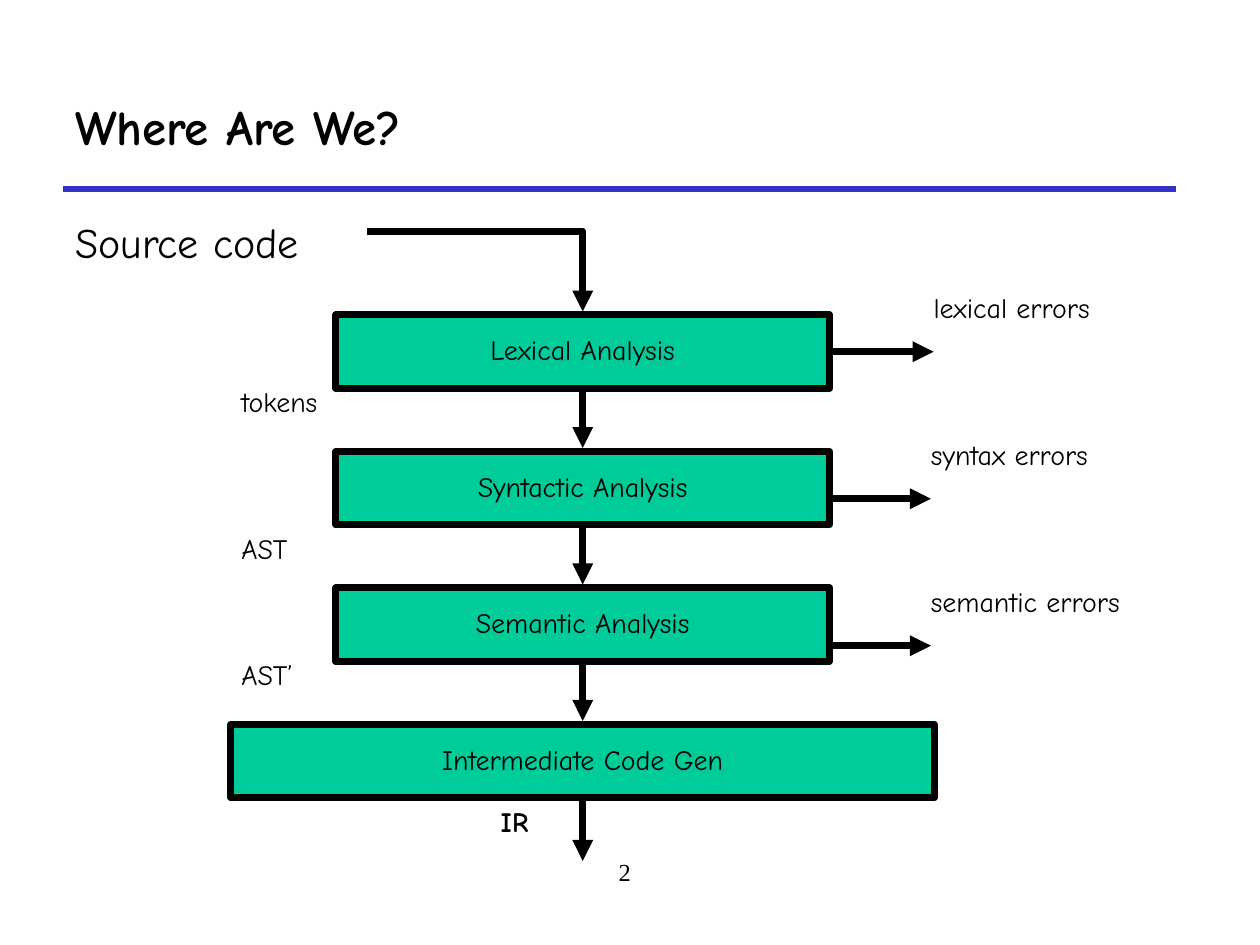
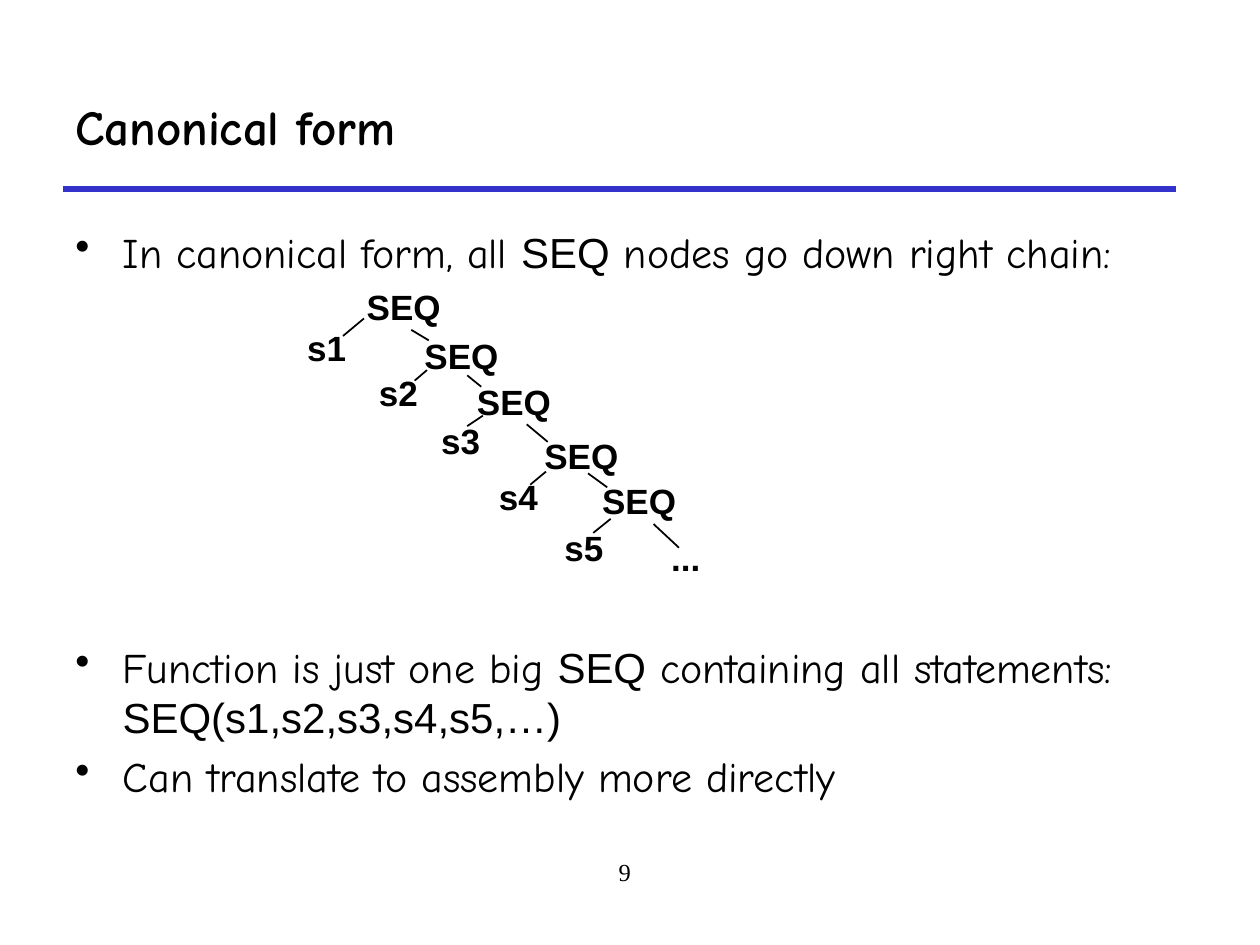
from dataclasses import dataclass
from itertools import pairwise

from lxml.etree import SubElement
from pptx import Presentation
from pptx.dml.color import RGBColor as Color
from pptx.enum.shapes import MSO_CONNECTOR as Link, MSO_SHAPE as Shape
from pptx.enum.text import MSO_ANCHOR as Anchor, PP_ALIGN as Align
from pptx.oxml.ns import qn
from pptx.util import Pt


@dataclass(frozen=True)
class Theme:
    ink: Color = Color(0, 0, 0)
    rule: Color = Color(0x33, 0x33, 0xCC)
    stage: Color = Color(0, 0xCC, 0x99)
    hand: str = "Comic Neue"
    code: str = "Arial"
    number: str = "Times New Roman"
    title_size: int = 28
    body_size: int = 24
    node_size: int = 20
    label_size: int = 16
    number_size: int = 14


theme = Theme()
TITLE = dict(name=theme.hand, size=Pt(theme.title_size), bold=True)
BODY = dict(name=theme.hand, size=Pt(theme.body_size))
LABEL = dict(name=theme.hand, size=Pt(theme.label_size))
NODE = dict(name=theme.code, size=Pt(theme.node_size), bold=True)
NUMBER = dict(name=theme.number, size=Pt(theme.number_size))
MIDDLE = dict(vertical_anchor=Anchor.MIDDLE)
UNWRAPPED = dict(vertical_anchor=Anchor.MIDDLE, word_wrap=False)
FLUSH = dict(margin_left=0, margin_top=0, margin_right=0, margin_bottom=0)
TIGHT = dict(line_spacing=0.9)
CENTRED = dict(alignment=Align.CENTER)


def write(page, place, text, font, frame={}, layout={}, box=None):
    box = box or page.shapes.add_textbox(*map(Pt, place))
    para = box.text_frame.paragraphs[0]
    span = para.add_run()
    span.text = text
    span.font.color.rgb = theme.ink
    for target, formats in (
        (box.text_frame, {"word_wrap": True} | frame),
        (para, layout),
        (span.font, font),
    ):
        for name, value in formats.items():
            setattr(target, name, value)
    return box


def connect(page, start, end, width, color=theme.ink, arrow=False, kind=Link.STRAIGHT):
    line = page.shapes.add_connector(kind, *map(Pt, (*start, *end)))
    line.line.color.rgb = color
    line.line.width = Pt(width)
    if arrow:
        SubElement(line.line._get_or_add_ln(), qn("a:tailEnd"), type="triangle")
    SubElement(line._element.spPr, qn("a:effectLst"))
    return line


deck = Presentation()
deck.slide_width, deck.slide_height = Pt(720), Pt(540)
pages = []
for title, number in (("Where Are We?", "2"), ("Canonical form", "9")):
    page = deck.slides.add_slide(deck.slide_layouts[6])
    connect(page, (36, 108), (672, 108), 3, theme.rule)
    write(page, (222, 486, 270, 36), number, NUMBER, layout=CENTRED)
    write(page, (36, 36, 636, 72), title, TITLE, MIDDLE)
    pages.append(page)
phases, canonical = pages

write(phases, (36, 120, 168, 30), "Source code", BODY)

axis, stage_height, border = 333, 42, 4
stages = (
    ("Lexical Analysis", 282),
    ("Syntactic Analysis", 282),
    ("Semantic Analysis", 282),
    ("Intermediate Code Gen", 402),
)
stage_tops = [180 + 78 * row for row in range(len(stages))]
for (name, width), top in zip(stages, stage_tops):
    place = (axis - width / 2, top, width, stage_height)
    stage = phases.shapes.add_shape(Shape.RECTANGLE, *map(Pt, place))
    stage.shadow.inherit = False
    stage.fill.solid()
    stage.fill.fore_color.rgb = theme.stage
    stage.line.color.rgb = theme.ink
    stage.line.width = Pt(border)
    write(phases, place, name, LABEL, UNWRAPPED, TIGHT | CENTRED, stage)

for upper, lower in pairwise(stage_tops):
    connect(phases, (axis, upper + stage_height + 2), (axis, lower - 2), border, arrow=True)
connect(phases, (axis, 456), (axis, 492), border, arrow=True)
entry = connect(phases, (210, 132), (axis, 178), border, arrow=True, kind=Link.ELBOW)
entry._element.spPr.prstGeom.set("prst", "bentConnector2")

errors = (("lexical errors", 533.5), ("syntax errors", 532), ("semantic errors", 532))
for row, (name, left) in enumerate(errors):
    top = 168 + 84 * row
    write(phases, (left, top, 128, 66), name, LABEL, FLUSH, TIGHT)
    connect(phases, (left - 58, top + 33), (left, top + 33), border, arrow=True)

for name, top in (("tokens", 222), ("AST", 306), ("AST’", 378)):
    write(phases, (138, top, 108, 30), name, LABEL, FLUSH, TIGHT)
write(phases, (264, 462, 60, 30), "IR", LABEL | {"bold": True}, FLUSH, TIGHT | CENTRED)

bullets = (
    (0, (("In canonical form, all ", theme.hand), ("SEQ", theme.code),
         (" nodes go down right chain:", theme.hand))),
    (208, (("Function is just one big ", theme.hand), ("SEQ", theme.code),
           (" containing all statements: ", theme.hand),
           ("SEQ(s1,s2,s3,s4,s5,…)", theme.code))),
    (4.8, (("Can translate to assembly more directly", theme.hand),)),
)
body = canonical.shapes.add_textbox(*map(Pt, (36, 126, 654, 348))).text_frame
body.word_wrap = True
for row, (gap, pieces) in enumerate(bullets):
    para = body.add_paragraph() if row else body.paragraphs[0]
    properties = para._p.get_or_add_pPr()
    properties.set("marL", str(Pt(27)))
    properties.set("indent", str(Pt(-27)))
    SubElement(properties, qn("a:buChar"), char="•")
    para.space_before = Pt(gap)
    for text, face in pieces:
        span = para.add_run()
        span.text = text
        span.font.color.rgb = theme.ink
        for name, value in (BODY | {"name": face}).items():
            setattr(span.font, name, value)

sequence_corners = ((202.5, 162), (235.5, 190), (265.5, 216.5), (304, 247), (337, 273))
leaf_corners = ((168.5, 185.5), (209.5, 211.5), (245, 238.5), (278, 270.5), (315.5, 300))
for corner in sequence_corners:
    write(canonical, (*corner, 57.5, 29), "SEQ", NODE, UNWRAPPED, TIGHT)
for index, corner in enumerate(leaf_corners, 1):
    write(canonical, (*corner, 36.5, 29), f"s{index}", NODE, UNWRAPPED, TIGHT)
write(canonical, (376.5, 305.5, 31, 29), "...", NODE, UNWRAPPED, TIGHT)

chain_edges = (
    ((235, 188.5), (245, 194.5)),
    ((267, 214.5), (275, 221)),
    ((301, 242.5), (313, 252.5)),
    ((336, 270.5), (347, 278.5)),
    ((373.5, 299.5), (388, 313)),
)
leaf_edges = (
    ((208, 182), (196, 192)),
    ((244, 211.5), (237, 217.5)),
    ((276, 237.5), (267, 243.5)),
    ((312, 269.5), (303, 277)),
    ((349, 296.5), (339, 304.5)),
)
for start, end in chain_edges + leaf_edges:
    connect(canonical, start, end, 1)

deck.save("out.pptx")
